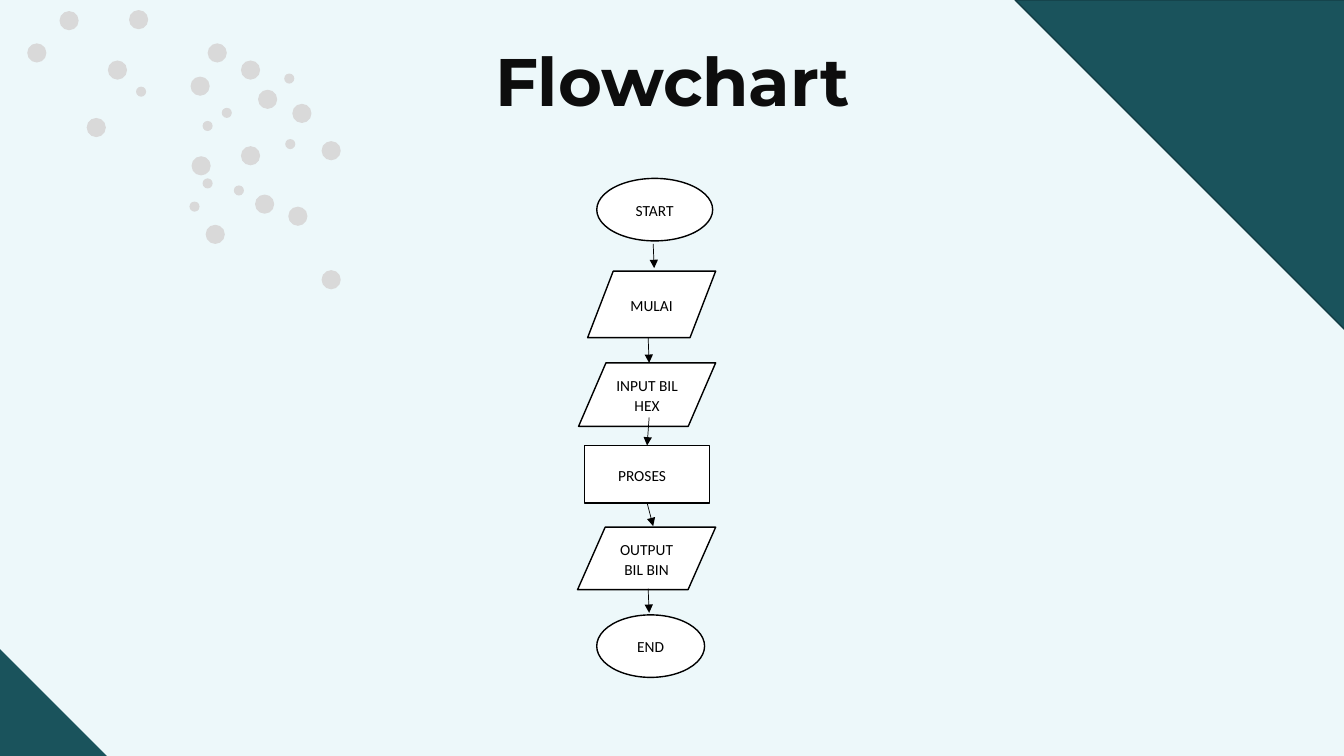
from pptx import Presentation
from pptx.dml.color import RGBColor
from pptx.enum.shapes import MSO_CONNECTOR, MSO_SHAPE
from pptx.enum.text import MSO_ANCHOR, MSO_AUTO_SIZE, PP_ALIGN
from pptx.oxml.ns import qn
from pptx.util import Inches, Pt
from lxml.etree import SubElement

COLS, ROWS = 133.33, 75
CELL = Inches(0.1)
INK = {"back": "EDF8FA", "teal": "1A535C", "edge": "133D44", "dot": "D9D9D9",
       "title": "0D0D0D", "black": "000000", "white": "FFFFFF"}


def grid(*cells):
    return [round(c * CELL) for c in cells]


class Deck:
    def __init__(self):
        self.show = Presentation()
        self.show.slide_width, self.show.slide_height = grid(COLS, ROWS)
        self.page = self.show.slides.add_slide(self.show.slide_layouts[6])
        self.tint(self.page.background.fill, "back")

    def tint(self, fill, ink):
        fill.solid()
        fill.fore_color.rgb = RGBColor.from_string(INK[ink])

    def shape(self, kind, box, ink, edge=None, home=None):
        item = (home or self.page).shapes.add_shape(kind, *grid(*box))
        item.shadow.inherit = False
        self.tint(item.fill, ink)
        if edge:
            self.tint(item.line.fill, edge)
            item.line.width = Pt(1)
        else:
            item.line.fill.background()
        return item

    def label(self, frame, words, font, size, ink, bold=False):
        frame.word_wrap = True
        para = frame.paragraphs[0]
        para.alignment = PP_ALIGN.CENTER
        run = para.add_run()
        run.text = words
        run.font.name, run.font.size, run.font.bold = font, Pt(size), bold
        self.tint(run.font.fill, ink)
        return para

    def title(self, words, box):
        frame = self.page.shapes.add_textbox(*grid(*box)).text_frame
        self.label(frame, words, "Montserrat", 48, "title", True)
        frame.auto_size = MSO_AUTO_SIZE.SHAPE_TO_FIT_TEXT

    def node(self, kind, words, box, right=0.8):
        item = self.shape(kind, box, "white", "black")
        frame = item.text_frame
        frame.vertical_anchor = MSO_ANCHOR.MIDDLE
        frame.margin_left, frame.margin_right = grid(0.8, right)
        para = self.label(frame, words, "Calibri", 11, "black")
        para.line_spacing = 1.07
        para.space_after = Pt(8)
        return item

    def arrow(self, ends):
        item = self.page.shapes.add_connector(MSO_CONNECTOR.STRAIGHT, *grid(*ends))
        self.tint(item.line.fill, "black")
        item.line.width = Pt(0.5)
        props = item._element.spPr
        SubElement(props.find(qn("a:ln")), qn("a:tailEnd"), type="triangle")
        SubElement(props, qn("a:effectLst"))
        return item

    def dots(self, size, spots):
        group = self.page.shapes.add_group_shape()
        for x, y in spots:
            self.shape(MSO_SHAPE.OVAL, (x, y, size, size), "dot", home=group)


BIG = [(12.8, 1), (31.9, 26.8), (31.9, 14), (28.6, 20.5), (20.4, 22.3), (20.6, 4.3),
       (18.9, 7.6), (2.7, 4.3), (10.7, 6), (23.9, 6), (29, 10.3), (25.3, 19.3),
       (8.6, 11.7), (5.9, 1.1), (19, 15.5), (25.6, 8.9), (23.9, 14.5)]
SMALL = [(28.3, 13.8), (22, 10.7), (28.2, 7.3), (18.8, 20), (20.1, 17.7),
         (23.2, 18.4), (13.5, 8.6), (20.1, 12)]
DATA = MSO_SHAPE.FLOWCHART_DATA
STEPS = [(MSO_SHAPE.OVAL, "START", (59.2, 17.7, 11.5, 6.2)),
         (DATA, "MULAI", (58.3, 26.9, 12.7, 6.6)),
         (DATA, "INPUT BIL HEX", (57.4, 36, 13.6, 6.3)),
         (MSO_SHAPE.FLOWCHART_PROCESS, "PROSES", (58, 44.2, 12.4, 5.7), 1.8),
         (DATA, "OUTPUT BIL BIN", (57.3, 52.3, 13.7, 6.2)),
         (MSO_SHAPE.OVAL, "END", (59.2, 61, 10.7, 6.2))]
LINKS = [(64.8, 24.2, 64.9, 26.6), (64.3, 33.5, 64.4, 36), (64.4, 41.4, 64.5, 43.8),
         (64.7, 49.8, 64.8, 52.2), (64.3, 58.4, 64.4, 60.8)]


def main():
    deck = Deck()
    deck.dots(1.9, BIG)
    deck.dots(1, SMALL)
    deck.shape(MSO_SHAPE.RIGHT_TRIANGLE, (0, 64.4, 10.6, 10.6), "teal")
    corner = deck.shape(MSO_SHAPE.RIGHT_TRIANGLE, (100.7, 0, 32.7, 32.7), "teal", "edge")
    corner.rotation = 180
    deck.title("Flowchart", (29, 3.4, 75.4, 9.1))
    nodes = [deck.node(*step) for step in STEPS]
    lines = [deck.arrow(ends) for ends in LINKS]
    lines[2].end_connect(nodes[3], 0)
    lines[3].begin_connect(nodes[3], 2)
    deck.show.save("out.pptx")


if __name__ == "__main__":
    main()
